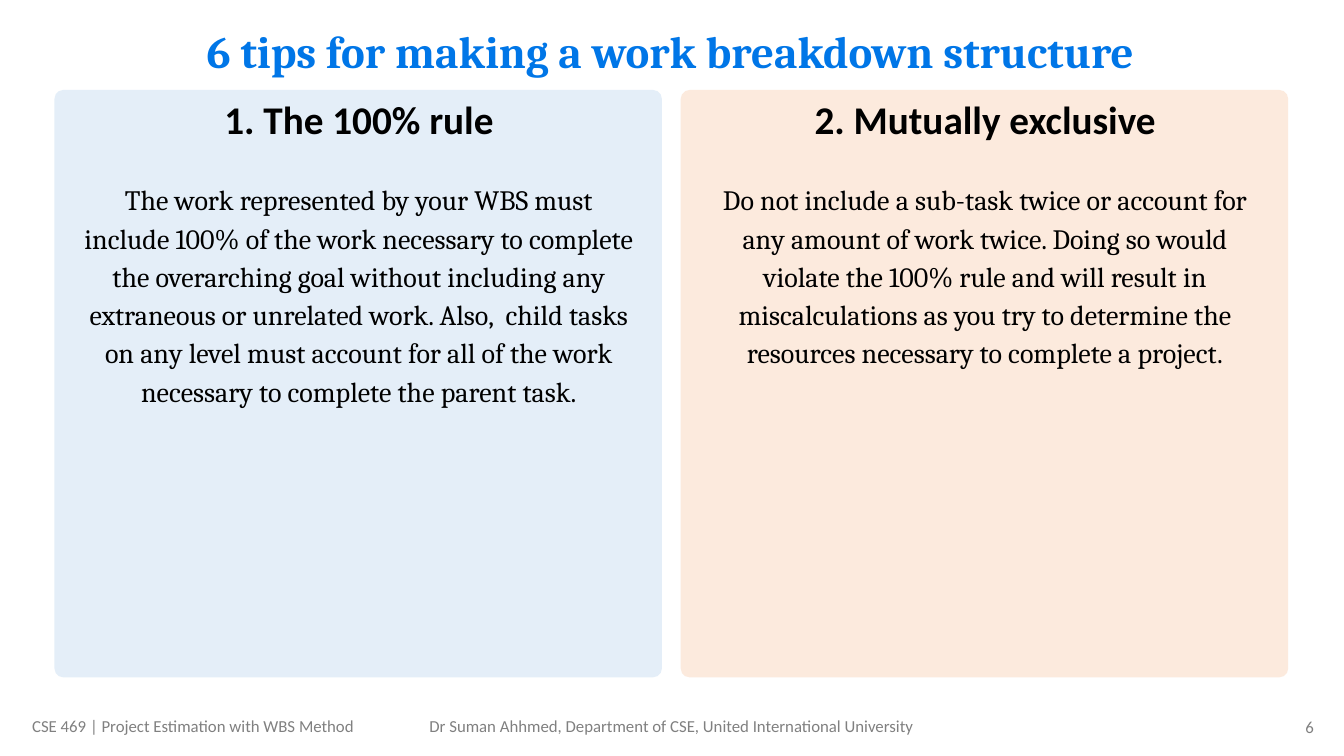
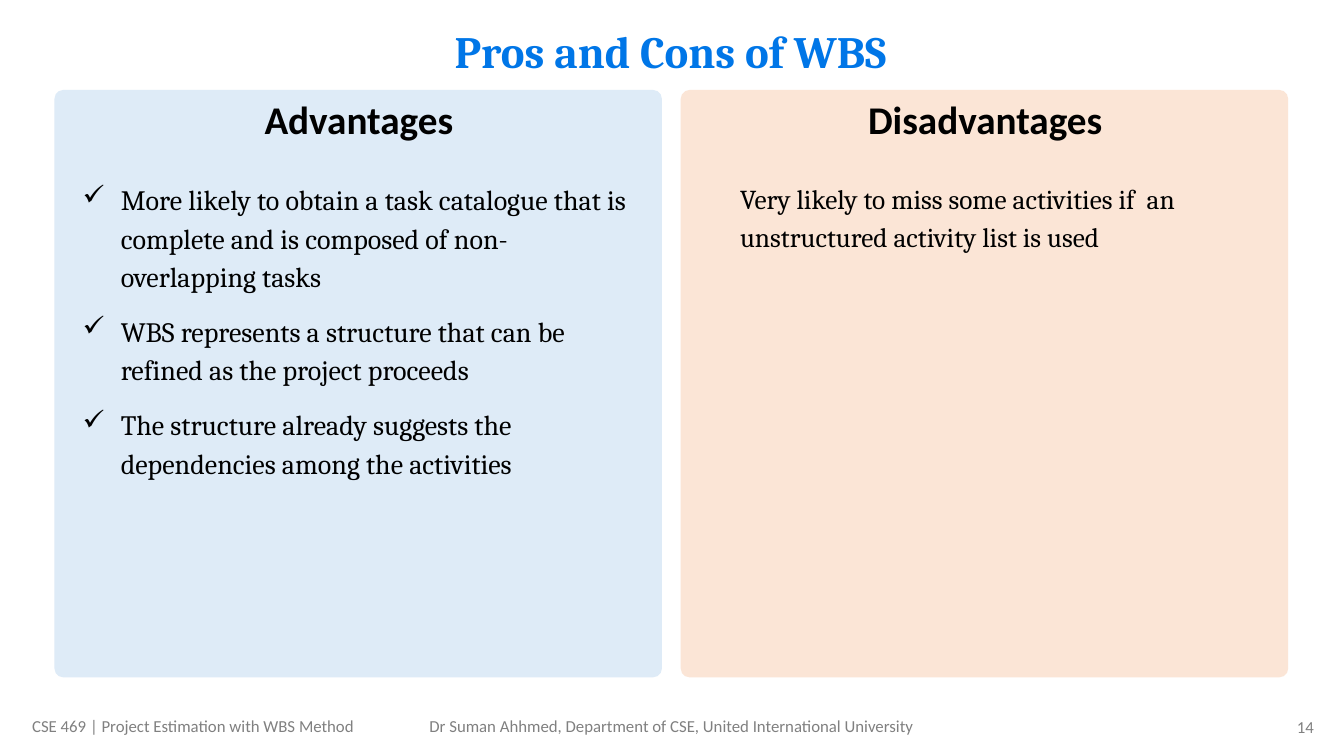
"""Build two WBS slides, each with a title, two tinted panels and a footer."""
from dataclasses import dataclass, field
from typing import Any

from lxml.etree import SubElement
from pptx import Presentation
from pptx.dml.color import RGBColor
from pptx.enum.shapes import MSO_SHAPE
from pptx.enum.text import MSO_ANCHOR, PP_ALIGN
from pptx.oxml.ns import qn
from pptx.util import Emu, Inches, Pt

SLIDE_WIDTH, SLIDE_HEIGHT = Inches(13.333), Inches(7.5)
COLORS = {
    "title": "0076E7", "ink": "000000", "footer": "808080",
    "blue": "5B9BD5", "orange": "ED7D31",
    "pale_blue": "DEEBF7", "pale_orange": "FBE5D6",
}
PANEL_PITCH = 46.6
TINT = 16


@dataclass(frozen=True)
class Region:
    """A rectangle in percent of the slide's width and height."""
    left: float
    top: float
    width: float
    height: float

    def shifted(self, across: float) -> "Region":
        """Return the region moved to the right."""
        return Region(self.left + across, self.top, self.width, self.height)

    def lengths(self) -> tuple[Emu, Emu, Emu, Emu]:
        """Return left, top, width and height as lengths."""
        return (Emu(round(SLIDE_WIDTH * self.left / 100)),
                Emu(round(SLIDE_HEIGHT * self.top / 100)),
                Emu(round(SLIDE_WIDTH * self.width / 100)),
                Emu(round(SLIDE_HEIGHT * self.height / 100)))


@dataclass(frozen=True)
class TextStyle:
    """Format values for the font, the paragraphs and the frame."""
    color: str
    font: dict[str, Any]
    paragraph: dict[str, Any] = field(default_factory=dict)
    frame: dict[str, Any] = field(default_factory=dict)


@dataclass(frozen=True)
class Panel:
    """A tinted column with a heading and its body text."""
    heading: str
    paragraphs: tuple[str, ...]
    fill: str
    opacity: int = 100
    size: float = 20
    align: PP_ALIGN = PP_ALIGN.LEFT
    indent: float = 0
    bullet: str = ""


@dataclass(frozen=True)
class Page:
    """The content of one slide."""
    number: int
    title: str
    panels: tuple[Panel, Panel]


TITLE_REGION = Region(4.05, 2.3, 91.7, 9.6)
PANEL_REGION = Region(4.05, 11.9, 45.2, 77.7)
HEADING_REGION = Region(5.4, 12, 42.6, 7.5)
BODY_REGION = Region(5.4, 22.9, 42.6, 53.6)
NUMBER_REGION = Region(90.1, 94.2, 8.4, 4)
COURSE_REGION = Region(1.65, 94, 30.7, 4)
AUTHOR_REGION = Region(26.95, 94, 46.05, 4)

MIDDLE = {"vertical_anchor": MSO_ANCHOR.MIDDLE}
TITLE_STYLE = TextStyle(
    "title", {"name": "Cambria", "size": Pt(32), "bold": True},
    {"alignment": PP_ALIGN.CENTER, "line_spacing": 0.9}, MIDDLE)
HEADING_STYLE = TextStyle(
    "ink", {"name": "Calibri", "size": Pt(28), "bold": True},
    {"alignment": PP_ALIGN.CENTER}, MIDDLE)

FOOTERS = (
    (COURSE_REGION, "CSE 469 | Project Estimation with WBS Method", PP_ALIGN.LEFT),
    (AUTHOR_REGION, "Dr Suman Ahhmed, Department of CSE, United International University",
     PP_ALIGN.CENTER),
)

PAGES = (
    Page(6, "6 tips for making a work breakdown structure", (
        Panel("1. The 100% rule", (
            "The work represented by your WBS must include 100% of the work necessary "
            "to complete the overarching goal without including any extraneous or "
            "unrelated work. Also,  child tasks on any level must account for all of "
            "the work necessary to complete the parent task.",
        ), "blue", opacity=TINT, align=PP_ALIGN.CENTER),
        Panel("2. Mutually exclusive", (
            "Do not include a sub-task twice or account for any amount of work twice. "
            "Doing so would violate the 100% rule and will result in miscalculations "
            "as you try to determine the resources necessary to complete a project.",
        ), "orange", opacity=TINT, align=PP_ALIGN.CENTER),
    )),
    Page(14, "Pros and Cons of WBS", (
        Panel("Advantages", (
            "More likely to obtain a task catalogue that is complete and is composed "
            "of non-overlapping tasks",
            "WBS represents a structure that can be refined as the project proceeds",
            "The structure already suggests the dependencies among the activities",
        ), "pale_blue", indent=0.38, bullet="✓"),
        Panel("Disadvantages", (
            "Very likely to miss some activities if  an unstructured activity list is used",
        ), "pale_orange", size=19.5, indent=0.31),
    )),
)


def apply_format(target: Any, values: dict[str, Any]) -> None:
    """Set each format value on the target."""
    for attribute, value in values.items():
        setattr(target, attribute, value)


def set_indent(paragraph: Any, indent: float, bullet: str) -> None:
    """Indent a paragraph, hanging its bullet if it has one."""
    properties = paragraph._p.get_or_add_pPr()
    properties.set("marL", str(Inches(indent)))
    if bullet:
        properties.set("indent", str(-Inches(indent)))
        SubElement(properties, qn("a:buChar")).set("char", bullet)


def add_text(shapes: Any, region: Region, texts: tuple[str, ...], style: TextStyle,
             indent: float = 0, bullet: str = "") -> None:
    """Add a text box with one paragraph for each text."""
    frame = shapes.add_textbox(*region.lengths()).text_frame
    apply_format(frame, {"word_wrap": True, **style.frame})
    for position, text in enumerate(texts):
        paragraph = frame.add_paragraph() if position else frame.paragraphs[0]
        apply_format(paragraph, style.paragraph)
        run = paragraph.add_run()
        run.text = text
        apply_format(run.font, style.font)
        run.font.color.rgb = RGBColor.from_string(COLORS[style.color])
        if indent:
            set_indent(paragraph, indent, bullet)


def add_panel(slide: Any, panel: Panel, column: int) -> None:
    """Draw a panel in the given column as one group."""
    shapes = slide.shapes.add_group_shape().shapes
    across = column * PANEL_PITCH
    card = shapes.add_shape(MSO_SHAPE.ROUNDED_RECTANGLE,
                            *PANEL_REGION.shifted(across).lengths())
    card.adjustments[0] = 0.015
    card.shadow.inherit = False
    card.line.fill.background()
    card.fill.solid()
    card.fill.fore_color.rgb = RGBColor.from_string(COLORS[panel.fill])
    if panel.opacity < 100:
        color = card.fill._xPr.find(qn("a:solidFill"))[0]
        SubElement(color, qn("a:alpha")).set("val", str(panel.opacity * 1000))
    body_style = TextStyle(
        "ink", {"name": "Cambria", "size": Pt(panel.size)},
        {"alignment": panel.align, "line_spacing": 1.14,
         "space_before": Pt(6), "space_after": Pt(6)})
    add_text(shapes, HEADING_REGION.shifted(across), (panel.heading,), HEADING_STYLE)
    add_text(shapes, BODY_REGION.shifted(across), panel.paragraphs, body_style,
             panel.indent, panel.bullet)


def add_footer(slide: Any, number: int) -> None:
    """Write the course, the author and the page number."""
    for region, text, align in (*FOOTERS, (NUMBER_REGION, str(number), PP_ALIGN.RIGHT)):
        style = TextStyle("footer", {"name": "Calibri", "size": Pt(12)},
                          {"alignment": align}, MIDDLE)
        add_text(slide.shapes, region, (text,), style)


def main() -> None:
    """Build and save the presentation."""
    deck = Presentation()
    apply_format(deck, {"slide_width": SLIDE_WIDTH, "slide_height": SLIDE_HEIGHT})
    for page in PAGES:
        slide = deck.slides.add_slide(deck.slide_layouts[6])
        add_footer(slide, page.number)
        add_text(slide.shapes, TITLE_REGION, (page.title,), TITLE_STYLE)
        for column, panel in enumerate(page.panels):
            add_panel(slide, panel, column)
    deck.save("out.pptx")


if __name__ == "__main__":
    main()
